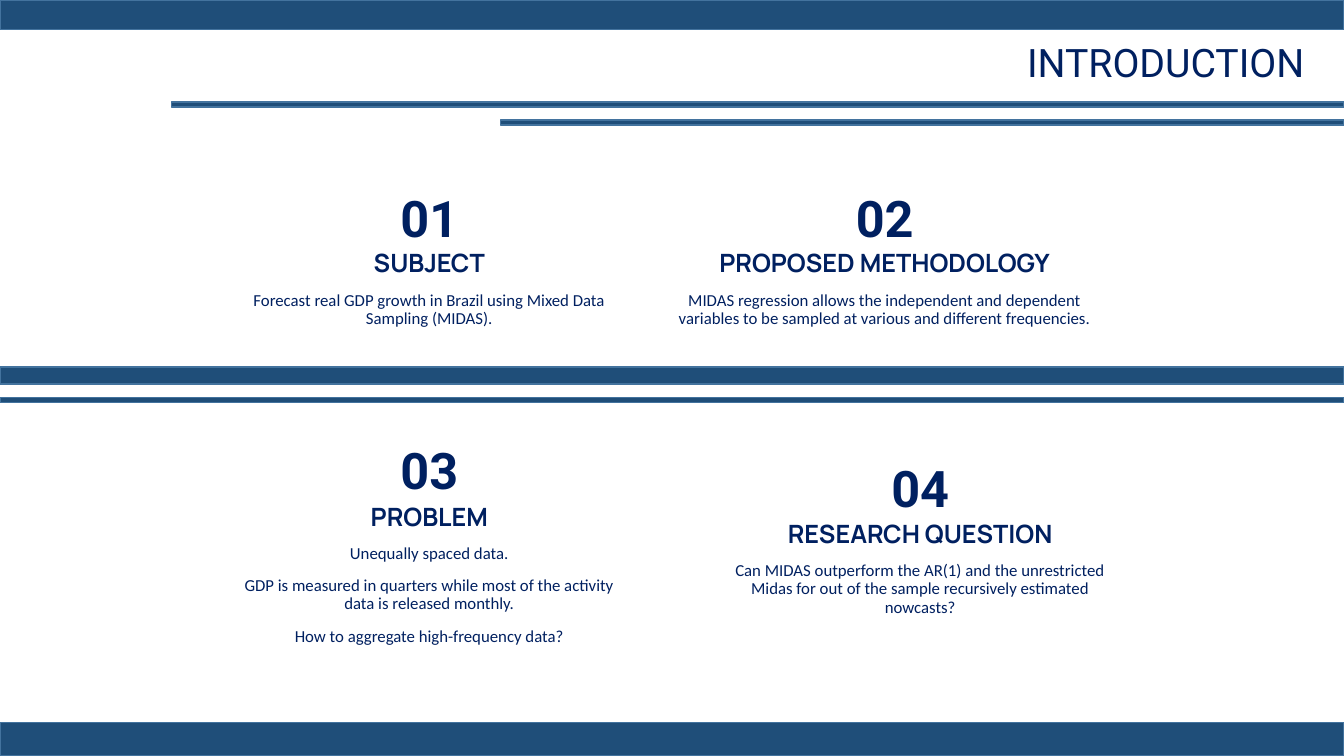
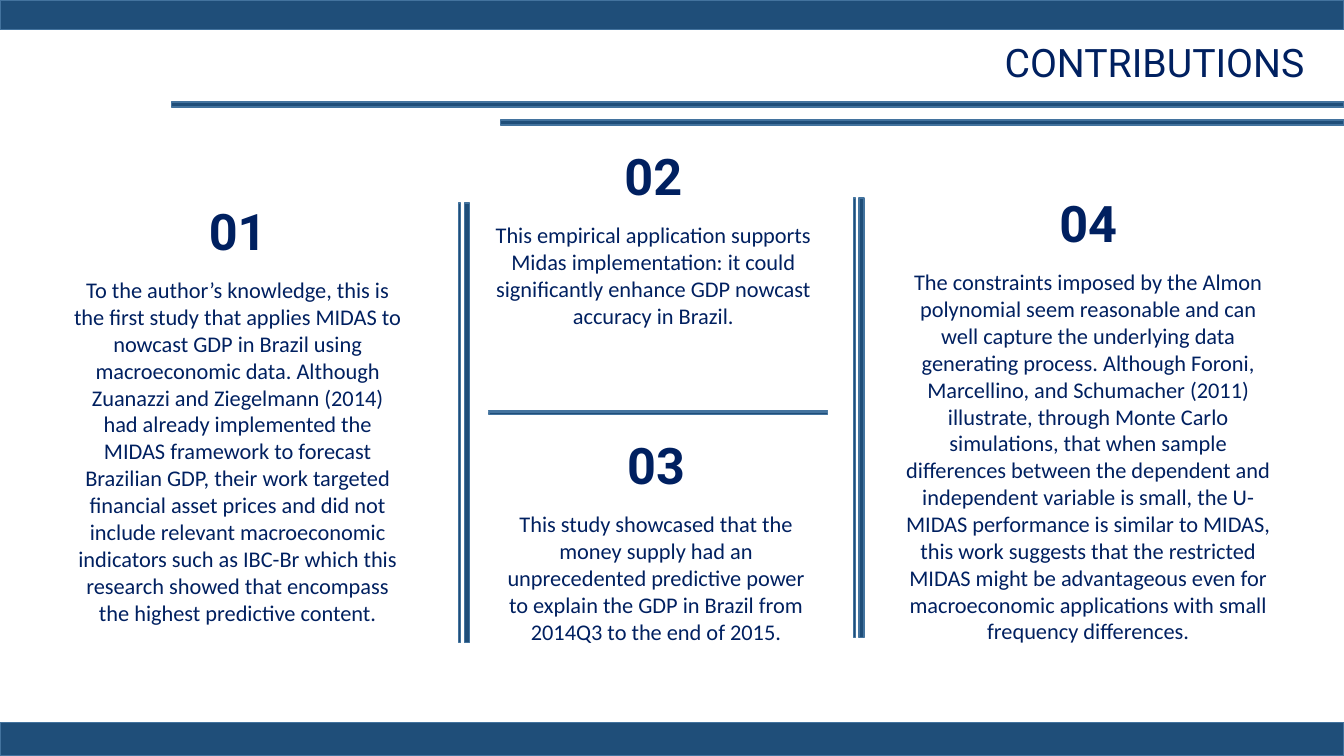
from dataclasses import dataclass

from pptx import Presentation
from pptx.dml.color import RGBColor
from pptx.enum.shapes import MSO_SHAPE
from pptx.enum.text import MSO_ANCHOR, MSO_AUTO_SIZE, PP_ALIGN
from pptx.util import Cm, Pt

RECTANGLE = MSO_SHAPE.RECTANGLE
CENTER, RIGHT = PP_ALIGN.CENTER, PP_ALIGN.RIGHT
TOP, MIDDLE = MSO_ANCHOR.TOP, MSO_ANCHOR.MIDDLE
NO_AUTOFIT = MSO_AUTO_SIZE.NONE

NAVY, BAND, EDGE = "002060", "1F4E79", "43739E"
HEADING_FONT, LABEL_FONT, BODY_FONT = "Roboto", "Manrope", "Calibri"
TITLE_ONLY = 5

# Lengths in centimetres
PAGE_WIDTH, PAGE_HEIGHT = 33.87, 19.05
FOOTER_HEIGHT = 0.84
RULE = 0.13
THIN_RULE = 0.05
DIVIDER_HEIGHT = 11.07


@dataclass(frozen=True)
class Bar:
    left: float
    top: float
    width: float
    height: float


@dataclass(frozen=True)
class Block:
    """A numbered text block, with an optional label under the number."""
    number: str
    left: float
    top: float
    width: float
    height: float
    body: tuple[str, ...]
    label: str = ""
    tight_number: bool = False


@dataclass(frozen=True)
class BodyStyle:
    size: int
    line_spacing: float
    first_gap: int
    next_gap: int


# Parts that every page shares
FRAME = (
    Bar(0, 0, PAGE_WIDTH, 0.74),
    Bar(4.32, 2.57, PAGE_WIDTH - 4.32, RULE),
    Bar(12.62, 3.02, PAGE_WIDTH - 12.62, RULE),
    Bar(0, PAGE_HEIGHT - FOOTER_HEIGHT, PAGE_WIDTH, FOOTER_HEIGHT),
)
TITLE_AREA = Bar(8.71, 1.02, 24.16, 1.24)

# Introduction
INTRODUCTION_STYLE = BodyStyle(size=12, line_spacing=0.9, first_gap=10, next_gap=10)
INTRODUCTION_BARS = (
    Bar(0, 9.25, PAGE_WIDTH, 0.43),
    Bar(0, 10.01, PAGE_WIDTH, RULE),
)
INTRODUCTION_BLOCKS = (
    Block("01", 5.84, 4.72, 9.96, 3.25, (
        "Forecast real GDP growth in Brazil using Mixed Data Sampling (MIDAS).",
    ), label="SUBJECT"),
    Block("02", 16.54, 4.72, 11.51, 3.25, (
        "MIDAS regression allows the independent and dependent variables to be "
        "sampled at various and different frequencies.",
    ), label="PROPOSED METHODOLOGY"),
    Block("03", 5.84, 11.25, 9.96, 5.5, (
        "Unequally spaced data.",
        "GDP is measured in quarters while most of the activity data is "
        "released monthly.",
        "How to aggregate high-frequency data?",
    ), label="PROBLEM", tight_number=True),
    Block("04", 18.34, 11.53, 9.7, 5.5, (
        "Can MIDAS outperform the AR(1) and the unrestricted Midas for out of "
        "the sample recursively estimated nowcasts?",
    ), label="RESEARCH QUESTION"),
)

# Contributions
CONTRIBUTIONS_STYLE = BodyStyle(size=16, line_spacing=1.0, first_gap=11, next_gap=0)
DIVIDERS = ((11.56, 5.12), (21.51, 4.99))
CONTRIBUTIONS_BARS = (
    *(Bar(left, top, THIN_RULE, DIVIDER_HEIGHT) for left, top in DIVIDERS),
    *(Bar(left + 0.14, top, RULE, DIVIDER_HEIGHT) for left, top in DIVIDERS),
    Bar(12.32, 10.34, 8.53, 0.03),
    Bar(12.32, 10.39, 8.53, THIN_RULE),
)
CONTRIBUTIONS_BLOCKS = (
    Block("01", 1.85, 5.05, 8.28, 11.2, (
        "To the author’s knowledge, this is the first study that applies MIDAS "
        "to nowcast GDP in Brazil using macroeconomic data. Although Zuanazzi "
        "and Ziegelmann (2014) had already implemented the MIDAS framework to "
        "forecast Brazilian GDP, their work targeted financial asset prices and "
        "did not include relevant macroeconomic indicators such as IBC-Br which "
        "this research showed that encompass the highest predictive content.",
    )),
    Block("02", 12.45, 3.66, 8.03, 5.5, (
        "This empirical application supports Midas implementation: it could "
        "significantly enhance GDP nowcast accuracy in Brazil.",
    )),
    Block("03", 12.52, 10.95, 8.03, 5.5, (
        "This study showcased that the money supply had an unprecedented "
        "predictive power to explain the GDP in Brazil from 2014Q3 to the end "
        "of 2015.",
    )),
    Block("04", 22.66, 4.85, 9.53, 11.5, (
        "The constraints imposed by the Almon",
        "polynomial seem reasonable and can well capture the underlying data "
        "generating process. Although Foroni, Marcellino, and Schumacher (2011) "
        "illustrate, through Monte Carlo simulations, that when sample "
        "differences between the dependent and independent variable is small, "
        "the U-MIDAS performance is similar to MIDAS, this work suggests that "
        "the restricted MIDAS might be advantageous even for macroeconomic "
        "applications with small frequency differences.",
    )),
)


def color(value: str) -> RGBColor:
    return RGBColor.from_string(value)


def place(area: Bar | Block) -> tuple[Cm, Cm, Cm, Cm]:
    return Cm(area.left), Cm(area.top), Cm(area.width), Cm(area.height)


def prepare_frame(frame, *, anchor=TOP) -> None:
    """Wrap the text, without margins or automatic fitting."""
    frame.word_wrap = True
    frame.auto_size = NO_AUTOFIT
    frame.vertical_anchor = anchor
    frame.margin_left = frame.margin_right = 0
    frame.margin_top = frame.margin_bottom = 0


def write(frame, text: str, *, size: int, font: str, bold: bool = False,
          align=CENTER, line_spacing: float = 1.0, gap: int = 0) -> None:
    """Add a paragraph, using the first one while it is still empty."""
    para = frame.paragraphs[0] if not frame.text else frame.add_paragraph()
    para.alignment = align
    para.line_spacing = line_spacing
    para.space_before = Pt(gap)
    span = para.add_run()
    span.text = text
    span.font.size = Pt(size)
    span.font.name = font
    span.font.bold = bold
    span.font.color.rgb = color(NAVY)


def draw_bar(page, bar: Bar) -> None:
    shape = page.shapes.add_shape(RECTANGLE, *place(bar))
    shape.shadow.inherit = False
    shape.fill.solid()
    shape.fill.fore_color.rgb = color(BAND)
    shape.line.color.rgb = color(EDGE)
    shape.line.width = Pt(1)


def draw_block(page, block: Block, style: BodyStyle) -> None:
    frame = page.shapes.add_textbox(*place(block)).text_frame
    prepare_frame(frame)
    write(frame, block.number, size=36, font=HEADING_FONT, bold=True,
          line_spacing=0.9 if block.tight_number else 1.0,
          gap=10 if block.tight_number else 0)
    if block.label:
        write(frame, block.label, size=18, font=LABEL_FONT, bold=True)
    for index, text in enumerate(block.body):
        write(frame, text, size=style.size, font=BODY_FONT,
              line_spacing=style.line_spacing,
              gap=style.next_gap if index else style.first_gap)


def add_page(deck, title: str, bars: tuple[Bar, ...],
             blocks: tuple[Block, ...], style: BodyStyle) -> None:
    page = deck.slides.add_slide(deck.slide_layouts[TITLE_ONLY])
    box = page.shapes.title
    box.left, box.top, box.width, box.height = place(TITLE_AREA)
    prepare_frame(box.text_frame, anchor=MIDDLE)
    write(box.text_frame, title, size=28, font=HEADING_FONT,
          align=RIGHT, line_spacing=0.9)
    for bar in FRAME + bars:
        draw_bar(page, bar)
    for block in blocks:
        draw_block(page, block, style)


def main() -> None:
    deck = Presentation()
    deck.slide_width, deck.slide_height = Cm(PAGE_WIDTH), Cm(PAGE_HEIGHT)
    add_page(deck, "INTRODUCTION", INTRODUCTION_BARS,
             INTRODUCTION_BLOCKS, INTRODUCTION_STYLE)
    add_page(deck, "CONTRIBUTIONS", CONTRIBUTIONS_BARS,
             CONTRIBUTIONS_BLOCKS, CONTRIBUTIONS_STYLE)
    deck.save("out.pptx")


if __name__ == "__main__":
    main()
